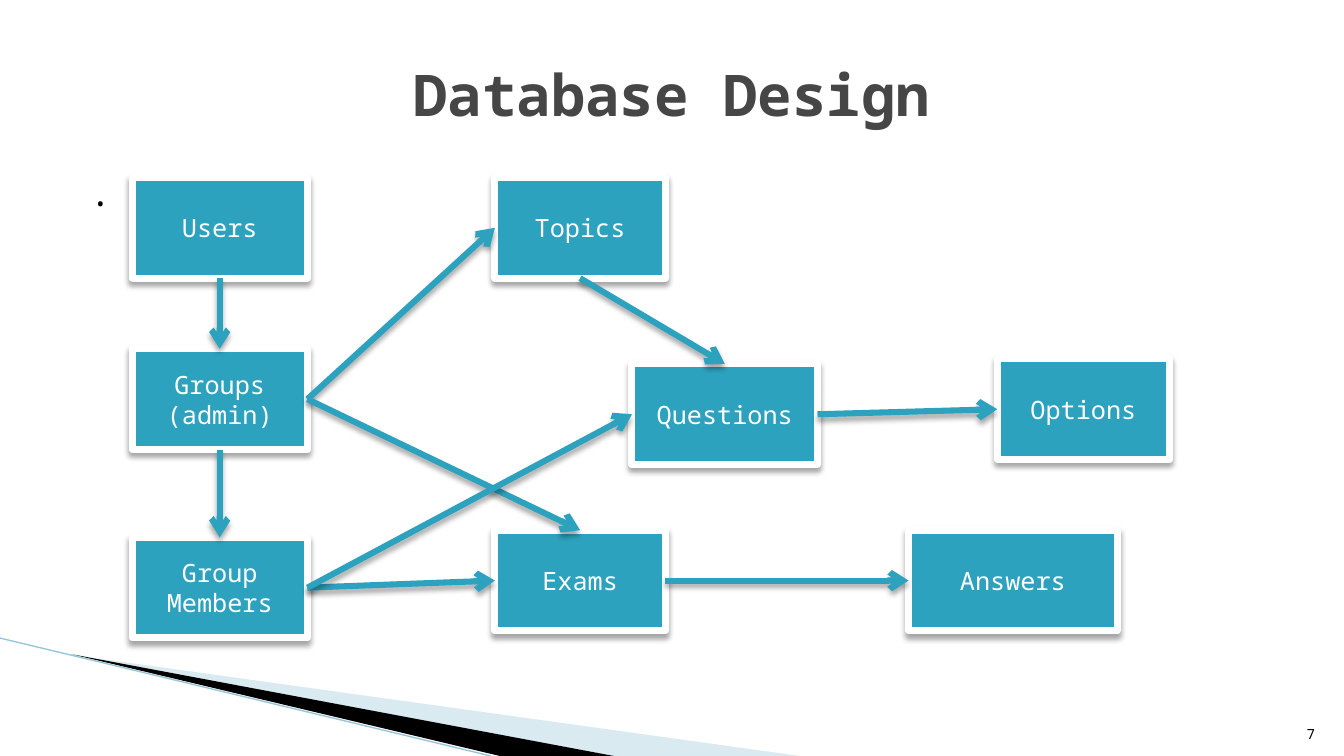
from dataclasses import dataclass

from lxml import etree
from pptx import Presentation
from pptx.dml.color import RGBColor
from pptx.enum.shapes import MSO_CONNECTOR, MSO_SHAPE
from pptx.enum.text import MSO_ANCHOR, PP_ALIGN
from pptx.oxml.ns import qn
from pptx.util import Inches, Pt

RECT, LINE = MSO_SHAPE.RECTANGLE, MSO_CONNECTOR.STRAIGHT
LEFT, MID, RIGHT = PP_ALIGN.LEFT, PP_ALIGN.CENTER, PP_ALIGN.RIGHT
TOP, CORE, LOW = MSO_ANCHOR.TOP, MSO_ANCHOR.MIDDLE, MSO_ANCHOR.BOTTOM
NORTH, WEST, SOUTH, EAST = range(4)

# Grid of 40 columns and 30 rows
WIDE, HIGH = Inches(13.33), Inches(7.5)
COL, ROW = WIDE / 40, HIGH / 30

FONT = "Noto Sans Mono"
HUES = {"teal": "2DA2BF", "white": "FFFFFF", "black": "000000",
        "gray": "464646", "pale": "A0CBDC", "edge": "97C5D8"}


@dataclass
class Box:
    text: str
    col: float
    row: float
    cols: float
    rows: float = 4


@dataclass
class Label:
    box: Box
    size: int
    hue: str
    align: PP_ALIGN
    anchor: MSO_ANCHOR
    bold: bool = False
    dent: float = 0
    space: float = 0


@dataclass
class Link:
    start: str
    side: int
    end: str
    goal: int


@dataclass
class Wedge:
    points: list[tuple[float, float]]
    hue: str
    alpha: int = 100


WEDGES = [
    Wedge([(2.19, 26), (23.8, 30), (18.24, 30)], "pale", 40),
    Wedge([(2.13, 25.96), (18.27, 30), (14.88, 30)], "black"),
]
LABELS = [
    Label(Box("Database Design", 2, 1.2, 36, 5), 41, "gray", MID, CORE, bold=True),
    Label(Box(".", 2, 6.48, 36, 19.8), 27, "black", LEFT, TOP, dent=0.36, space=4),
    Label(Box("7", 37.84, 28.04, 1.59, 1.6), 10, "black", RIGHT, LOW),
]
BOXES = [
    Box("Users", 3.93, 7.04, 5.22),
    Box("Groups\n(admin)", 3.93, 13.84, 5.22),
    Box("Group Members", 3.93, 21.32, 5.22),
    Box("Topics", 14.73, 7.04, 5.07),
    Box("Exams", 14.73, 21.04, 5.07),
    Box("Questions", 18.81, 14.44, 5.52),
    Box("Answers", 27.04, 21.04, 6.21),
    Box("Options", 29.68, 14.24, 5.13),
]
LINKS = [
    Link("Users", SOUTH, "Groups\n(admin)", NORTH),
    Link("Groups\n(admin)", SOUTH, "Group Members", NORTH),
    Link("Groups\n(admin)", EAST, "Topics", WEST),
    Link("Groups\n(admin)", EAST, "Exams", NORTH),
    Link("Group Members", EAST, "Exams", WEST),
    Link("Topics", SOUTH, "Questions", NORTH),
    Link("Group Members", EAST, "Questions", WEST),
    Link("Questions", EAST, "Options", WEST),
    Link("Exams", EAST, "Answers", WEST),
]


def tint(name: str) -> RGBColor:
    return RGBColor.from_string(HUES[name])


def paint(fill, hue: str) -> None:
    fill.solid()
    fill.fore_color.rgb = tint(hue)


def place(box: Box) -> list[int]:
    return [round(n) for n in (box.col * COL, box.row * ROW,
                               box.cols * COL, box.rows * ROW)]


def shade(shape, drop: bool = True) -> None:
    """Set the shape's effects: a soft drop shadow, or none."""
    props = shape._element.spPr
    for old in props.findall(qn("a:effectLst")):
        props.remove(old)
    effect = etree.SubElement(props, qn("a:effectLst"))
    if drop:
        outer = etree.SubElement(effect, qn("a:outerShdw"), blurRad=str(Pt(4)),
                                 dist=str(Pt(3)), dir="5400000", rotWithShape="0")
        color = etree.SubElement(outer, qn("a:srgbClr"), val=HUES["black"])
        etree.SubElement(color, qn("a:alpha"), val="35000")


def write(shape, label: Label) -> None:
    frame = shape.text_frame
    frame.word_wrap = True
    frame.vertical_anchor = label.anchor
    frame.text = label.box.text
    form = {"name": FONT, "size": Pt(label.size), "bold": label.bold}
    for para in frame.paragraphs:
        para.alignment = label.align
        para.space_before = Pt(label.space)
        if label.dent:
            para._p.get_or_add_pPr().set("marL", str(round(label.dent * COL)))
        for run in para.runs:
            for key, value in form.items():
                setattr(run.font, key, value)
            run.font.color.rgb = tint(label.hue)


def draw_wedge(shapes, wedge: Wedge) -> None:
    spots = [(round(x * COL), round(y * ROW)) for x, y in wedge.points]
    pen = shapes.build_freeform(*spots[0])
    pen.add_line_segments(spots[1:], close=True)
    shape = pen.convert_to_shape()
    paint(shape.fill, wedge.hue)
    shape.line.fill.background()
    shape.shadow.inherit = False
    if wedge.alpha < 100:
        color = shape._element.spPr.find(qn("a:solidFill"))[0]
        etree.SubElement(color, qn("a:alpha"), val=str(wedge.alpha * 1000))


def draw_box(shapes, box: Box):
    shape = shapes.add_shape(RECT, *place(box))
    paint(shape.fill, "teal")
    paint(shape.line.fill, "white")
    shape.line.width = Pt(5)
    shade(shape)
    write(shape, Label(box, 18, "white", MID, CORE))
    return shape


def draw_link(shapes, link: Link, nodes: dict) -> None:
    arrow = shapes.add_connector(LINE, 0, 0, 0, 0)
    arrow.begin_connect(nodes[link.start], link.side)
    arrow.end_connect(nodes[link.end], link.goal)
    paint(arrow.line.fill, "teal")
    arrow.line.width = Pt(4.33)
    etree.SubElement(arrow.line._get_or_add_ln(), qn("a:tailEnd"), type="arrow")
    shade(arrow)


def main() -> None:
    deck = Presentation()
    deck.slide_width, deck.slide_height = WIDE, HIGH
    shapes = deck.slides.add_slide(deck.slide_layouts[6]).shapes

    # Corner wedges and their thin edge
    for wedge in WEDGES:
        draw_wedge(shapes, wedge)
    edge = shapes.add_connector(LINE, 0, round(25.32 * ROW), round(14.61 * COL), HIGH)
    paint(edge.line.fill, "edge")
    edge.line.width = Pt(0.95)
    shade(edge, drop=False)

    # Title, body and page number
    for label in LABELS:
        write(shapes.add_textbox(*place(label.box)), label)

    # Tables of the database and their relations
    nodes = {box.text: draw_box(shapes, box) for box in BOXES}
    for link in LINKS:
        draw_link(shapes, link, nodes)

    deck.save("out.pptx")


if __name__ == "__main__":
    main()
